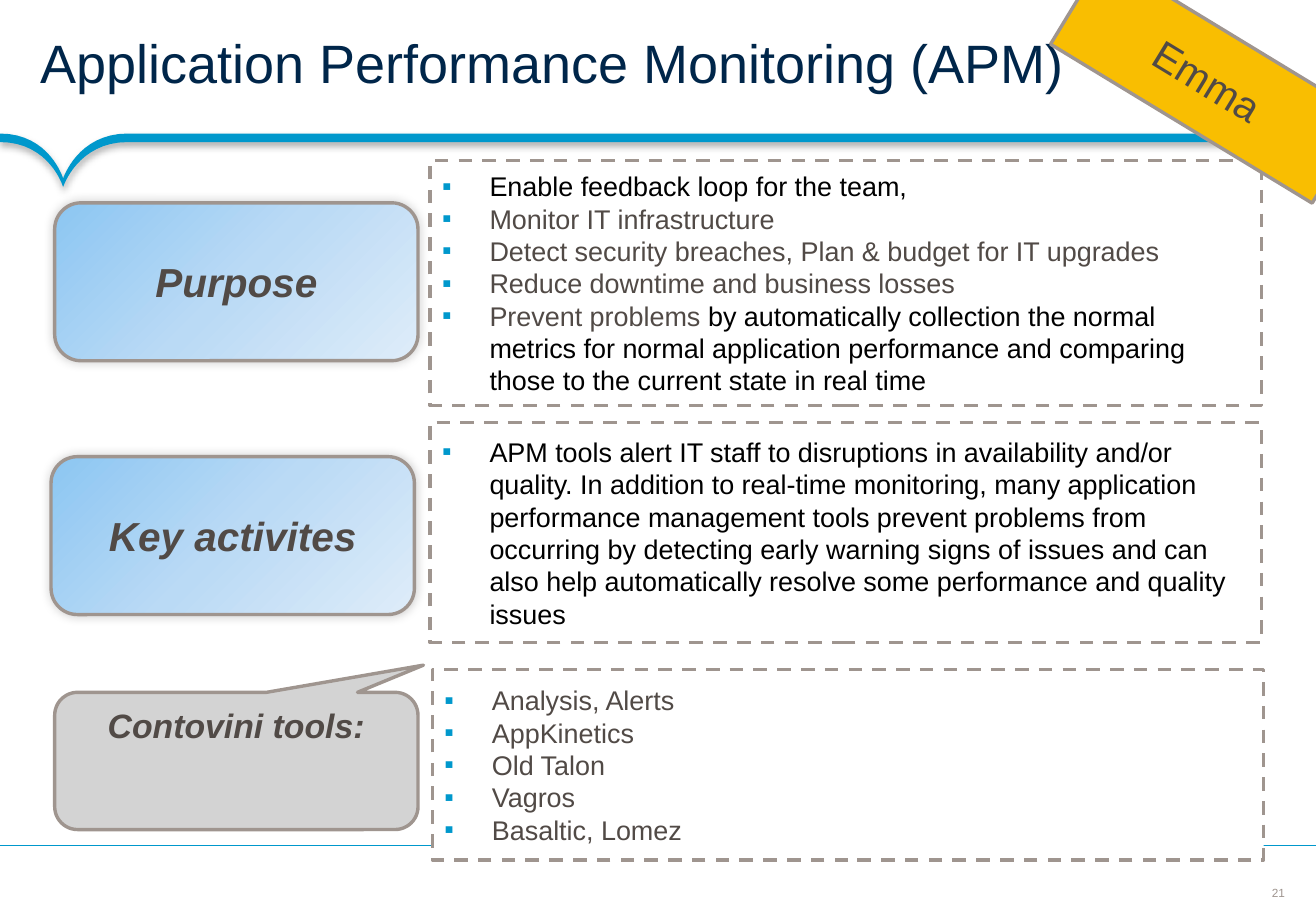
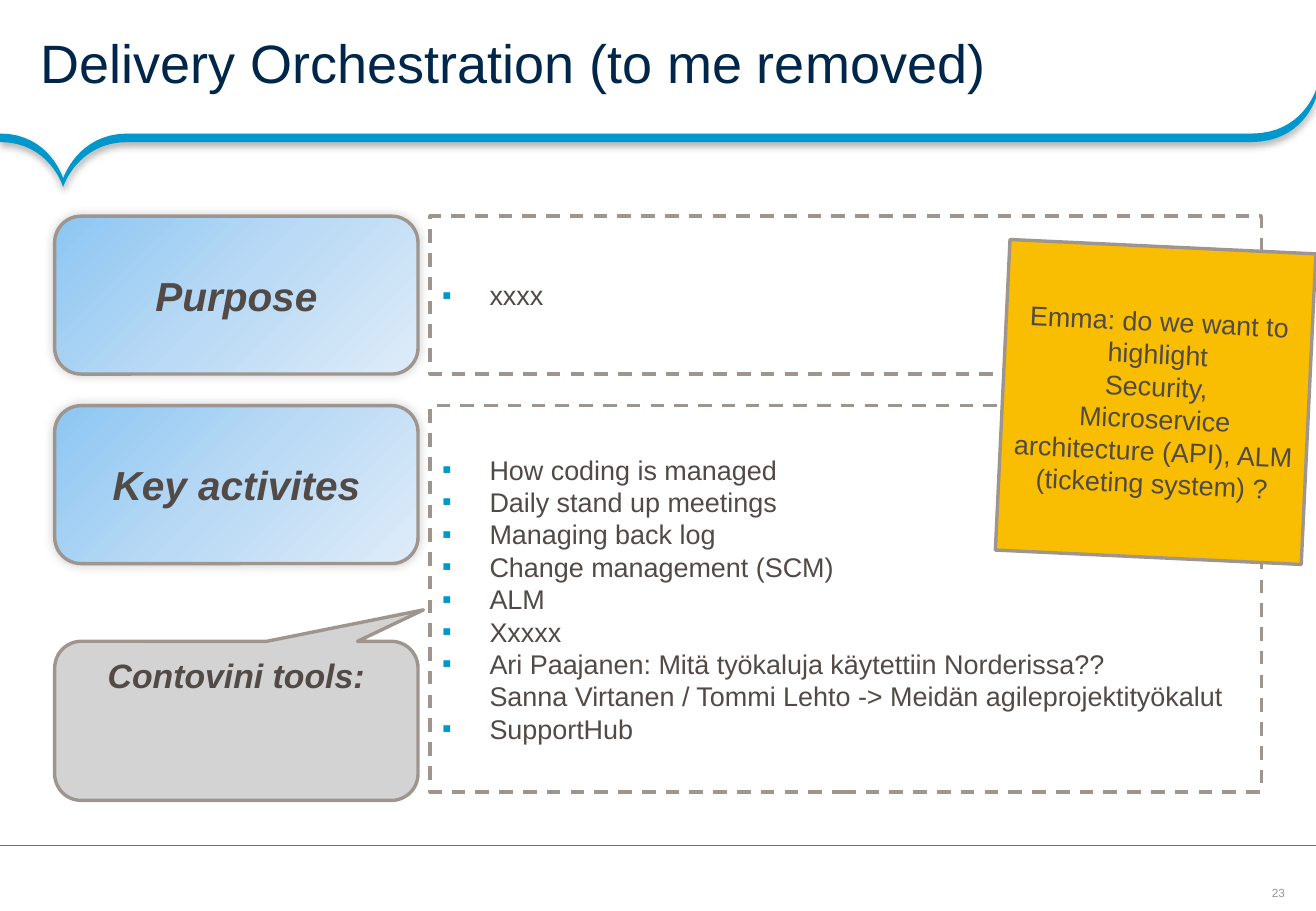
from copy import deepcopy
from dataclasses import dataclass

from lxml import etree
from pptx import Presentation
from pptx.dml.color import RGBColor
from pptx.enum.dml import MSO_LINE
from pptx.enum.shapes import MSO_CONNECTOR, MSO_SHAPE
from pptx.enum.text import MSO_ANCHOR, PP_ALIGN
from pptx.oxml.ns import qn
from pptx.util import Inches, Pt

RECT = MSO_SHAPE.RECTANGLE
ROUNDED = MSO_SHAPE.ROUNDED_RECTANGLE
CALLOUT = MSO_SHAPE.ROUNDED_RECTANGULAR_CALLOUT
STRAIGHT = MSO_CONNECTOR.STRAIGHT
DASH = MSO_LINE.DASH
LEFT, CENTER = PP_ALIGN.LEFT, PP_ALIGN.CENTER
TOP, MIDDLE = MSO_ANCHOR.TOP, MSO_ANCHOR.MIDDLE

FONT = "Arial"
COLORS = {
    "title": "00264A", "band": "0098CC", "text": "514A46", "black": "000000",
    "outline": "9F958F", "box": "FFFFFF", "callout": "D3D3D3", "note": "F9BE01",
}
LABEL_STOPS = ("8CC6F2", "BADAF5", "DEECF9")
SLIDE_W, SLIDE_H = 10.83, 7.5
LABEL_X, LABEL_W, LABEL_H = 0.45, 2.99, 1.3
BOX_X, BOX_W = 3.54, 6.84
INDENT = 0.39


@dataclass
class Run:
    text: str
    color: str = "text"


@dataclass
class Label:
    text: str
    y: float
    x: float = LABEL_X


@dataclass
class BulletBox:
    y: float
    h: float
    items: list[list[Run]]
    x: float = BOX_X


@dataclass
class Callout:
    text: str
    y: float
    h: float


@dataclass
class Note:
    x: float
    y: float
    w: float
    h: float
    angle: float
    size: int
    lines: list[str]


@dataclass
class Page:
    title: str
    number: str
    labels: list[Label]
    boxes: list[BulletBox]
    callout: Callout
    note: Note


def rgb(name: str) -> RGBColor:
    return RGBColor.from_string(COLORS[name])


def plain(*lines: str) -> list[list[Run]]:
    return [[Run(line)] for line in lines]


# Text
def add_run(p, run: Run, size: int, bold_italic: bool = False) -> None:
    for i, part in enumerate(run.text.split("\n")):
        if i:
            p.add_line_break()
        r = p.add_run()
        r.text = part
        r.font.name, r.font.size = FONT, Pt(size)
        r.font.color.rgb = rgb(run.color)
        if bold_italic:
            r.font.bold = r.font.italic = True


def set_bullet(p) -> None:
    pPr = p._p.get_or_add_pPr()
    pPr.set("marL", str(Inches(INDENT)))
    pPr.set("indent", str(-Inches(INDENT)))
    color = etree.SubElement(pPr, qn("a:buClr"))
    etree.SubElement(color, qn("a:srgbClr"), val=COLORS["band"])
    etree.SubElement(pPr, qn("a:buFont"), typeface=FONT)
    etree.SubElement(pPr, qn("a:buChar"), char="▪")


def write(sp, items: list[list[Run]], size: int, align=CENTER, anchor=MIDDLE,
          bold_italic: bool = False, bullets: bool = False):
    tf = sp.text_frame
    tf.word_wrap, tf.vertical_anchor = True, anchor
    for i, runs in enumerate(items):
        p = tf.add_paragraph() if i else tf.paragraphs[0]
        p.alignment = align
        if bullets:
            set_bullet(p)
        for run in runs:
            add_run(p, run, size, bold_italic)
    return tf


# Shapes
def add_outlined(slide, kind, x: float, y: float, w: float, h: float, fill: str = ""):
    sp = slide.shapes.add_shape(kind, Inches(x), Inches(y), Inches(w), Inches(h))
    sp.shadow.inherit = False
    if fill:
        sp.fill.solid()
        sp.fill.fore_color.rgb = rgb(fill)
    sp.line.color.rgb, sp.line.width = rgb("outline"), Pt(2)
    return sp


def set_shadow(sp, alpha: int, blur: float, dist: float, angle: int) -> None:
    sp.shadow.inherit = False
    effects = sp._element.spPr.find(qn("a:effectLst"))
    shadow = etree.SubElement(effects, qn("a:outerShdw"), blurRad=str(Pt(blur)),
                              dist=str(Pt(dist)), dir=str(angle * 60000), rotWithShape="0")
    color = etree.SubElement(shadow, qn("a:srgbClr"), val=COLORS["black"])
    etree.SubElement(color, qn("a:alpha"), val=str(alpha * 1000))


def set_gradient(sp) -> None:
    sp.fill.gradient()
    sp.fill.gradient_angle = 315
    stops = sp._element.spPr.find(qn("a:gradFill")).find(qn("a:gsLst"))
    stops.insert(1, deepcopy(stops[0]))
    for i, (stop, color) in enumerate(zip(sp.fill.gradient_stops, LABEL_STOPS)):
        stop.position = i / 2
        stop.color.rgb = RGBColor.from_string(color)


def add_label(slide, label: Label) -> None:
    sp = add_outlined(slide, ROUNDED, label.x, label.y, LABEL_W, LABEL_H)
    set_gradient(sp)
    set_shadow(sp, 20, 6, 0, 225)
    write(sp, plain(label.text), 24, bold_italic=True)


def add_bullet_box(slide, box: BulletBox) -> None:
    sp = add_outlined(slide, RECT, box.x, box.y, BOX_W, box.h, "box")
    sp.line.dash_style = DASH
    write(sp, box.items, 16, LEFT, bullets=True)


def add_callout(slide, callout: Callout) -> None:
    sp = add_outlined(slide, CALLOUT, LABEL_X, callout.y, LABEL_W, callout.h, "callout")
    for i, value in enumerate((0.515, -0.698, 0.167)):
        sp.adjustments[i] = value
    write(sp, plain(callout.text), 20, anchor=TOP, bold_italic=True)


def add_note(slide, note: Note) -> None:
    sp = add_outlined(slide, RECT, note.x, note.y, note.w, note.h, "note")
    sp.rotation = note.angle
    write(sp, plain(*note.lines), note.size)


# Shared frame: band, footer line, slide number, title
def bezier(p0, p1, p2, p3, steps: int = 16) -> list[tuple[float, float]]:
    points = []
    for i in range(steps + 1):
        t = i / steps
        weights = ((1 - t) ** 3, 3 * t * (1 - t) ** 2, 3 * t * t * (1 - t), t ** 3)
        points.append(tuple(sum(k * p[axis] for k, p in zip(weights, (p0, p1, p2, p3)))
                            for axis in (0, 1)))
    return points


def add_band(slide) -> None:
    y, tip, end, thick = 1.1, (0.52, 1.47), (SLIDE_W, 0.74), 0.07
    upper = (bezier((0, y), (0.41, y), tip, tip)
             + bezier(tip, tip, (0.64, y), (1.05, y))
             + bezier((10.3, y), (10.72, y), end, end))
    lower = [(px, py + thick) for px, py in reversed(upper)]
    points = [(Inches(px), Inches(py)) for px, py in upper + lower]
    builder = slide.shapes.build_freeform(*points[0], scale=1.0)
    builder.add_line_segments(points[1:], close=True)
    sp = builder.convert_to_shape()
    sp.fill.solid()
    sp.fill.fore_color.rgb = rgb("band")
    sp.line.fill.background()
    set_shadow(sp, 31, 4, 2, 90)


def add_text_box(slide, x: float, y: float, w: float, h: float, run: Run, size: int,
                 align, insets: tuple[float, float, float, float]):
    sp = slide.shapes.add_textbox(Inches(x), Inches(y), Inches(w), Inches(h))
    tf = write(sp, [[run]], size, align)
    tf.margin_left, tf.margin_top, tf.margin_right, tf.margin_bottom = map(Inches, insets)
    return tf


def add_frame(slide, title: str, number: str) -> None:
    tf = add_text_box(slide, 10.46, 7.29, 0.12, 0.12, Run(number, "outline"), 7, CENTER,
                      (0, 0, 0, 0))
    tf.word_wrap = False
    add_band(slide)
    line = slide.shapes.add_connector(STRAIGHT, Inches(SLIDE_W), Inches(6.96),
                                      Inches(0), Inches(6.96))
    line.line.color.rgb, line.line.width = rgb("band"), Pt(0.75)
    etree.SubElement(line._element.spPr, qn("a:effectLst"))
    tf = add_text_box(slide, 0, 0, SLIDE_W, 1.1, Run(title, "title"), 32, LEFT,
                      (0.33, 0.04, 0.18, 0.04))
    tf.paragraphs[0].line_spacing = 0.85


def add_page(prs, page: Page) -> None:
    slide = prs.slides.add_slide(prs.slide_layouts[6])
    add_frame(slide, page.title, page.number)
    for label in page.labels:
        add_label(slide, label)
    for box in page.boxes:
        add_bullet_box(slide, box)
    add_callout(slide, page.callout)
    add_note(slide, page.note)


# Content
PURPOSE, ACTIVITIES, TOOLS = "Purpose", "Key activites", "Contovini tools:"
PAGES = [
    Page(
        "Application Performance Monitoring (APM)", "21",
        [Label(PURPOSE, 1.67), Label(ACTIVITIES, 3.76, x=0.42)],
        [
            BulletBox(1.32, 2.02, [
                [Run("Enable feedback loop for the team,", "black")],
                *plain("Monitor IT infrastructure",
                       "Detect security breaches, Plan & budget for IT upgrades",
                       "Reduce downtime and business losses"),
                [Run("Prevent problems "),
                 Run("by automatically collection the normal metrics for normal application "
                     "performance and comparing those to the current state in real time",
                     "black")],
            ]),
            BulletBox(3.48, 1.81, [[Run(
                "APM tools alert IT staff to disruptions in availability and/or quality. In "
                "addition to real-time monitoring, many application performance management "
                "tools prevent problems from occurring by detecting early warning signs of "
                "issues and can also help automatically resolve some performance and quality "
                "issues", "black")]]),
            BulletBox(5.51, 1.57, plain("Analysis, Alerts", "AppKinetics", "Old Talon",
                                        "Vagros", "Basaltic, Lomez"), x=3.56),
        ],
        Callout(TOOLS, 5.7, 1.13),
        Note(8.68, 0.24, 2.52, 0.84, 31.3, 24, ["Emma"]),
    ),
    Page(
        "Delivery Orchestration (to me removed)", "23",
        [Label(PURPOSE, 1.78), Label(ACTIVITIES, 3.34)],
        [
            BulletBox(1.78, 1.3, plain("xxxx")),
            BulletBox(3.34, 3.18, plain(
                "How coding is managed", "Daily stand up meetings", "Managing back log",
                "Change management (SCM)", "ALM", "Xxxxx",
                "Ari Paajanen: Mitä työkaluja käytettiin Norderissa??\n"
                "Sanna Virtanen / Tommi Lehto -> Meidän agileprojektityökalut",
                "SupportHub")),
        ],
        Callout(TOOLS, 5.28, 1.31),
        Note(8.25, 2.03, 2.52, 2.56, 2.7, 16, [
            "Emma: do we want to highlight", "Security,",
            "Microservice architecture (API), ALM (ticketing system) ?"]),
    ),
]


def main() -> None:
    prs = Presentation()
    prs.slide_width, prs.slide_height = Inches(SLIDE_W), Inches(SLIDE_H)
    for page in PAGES:
        add_page(prs, page)
    prs.save("out.pptx")


if __name__ == "__main__":
    main()
